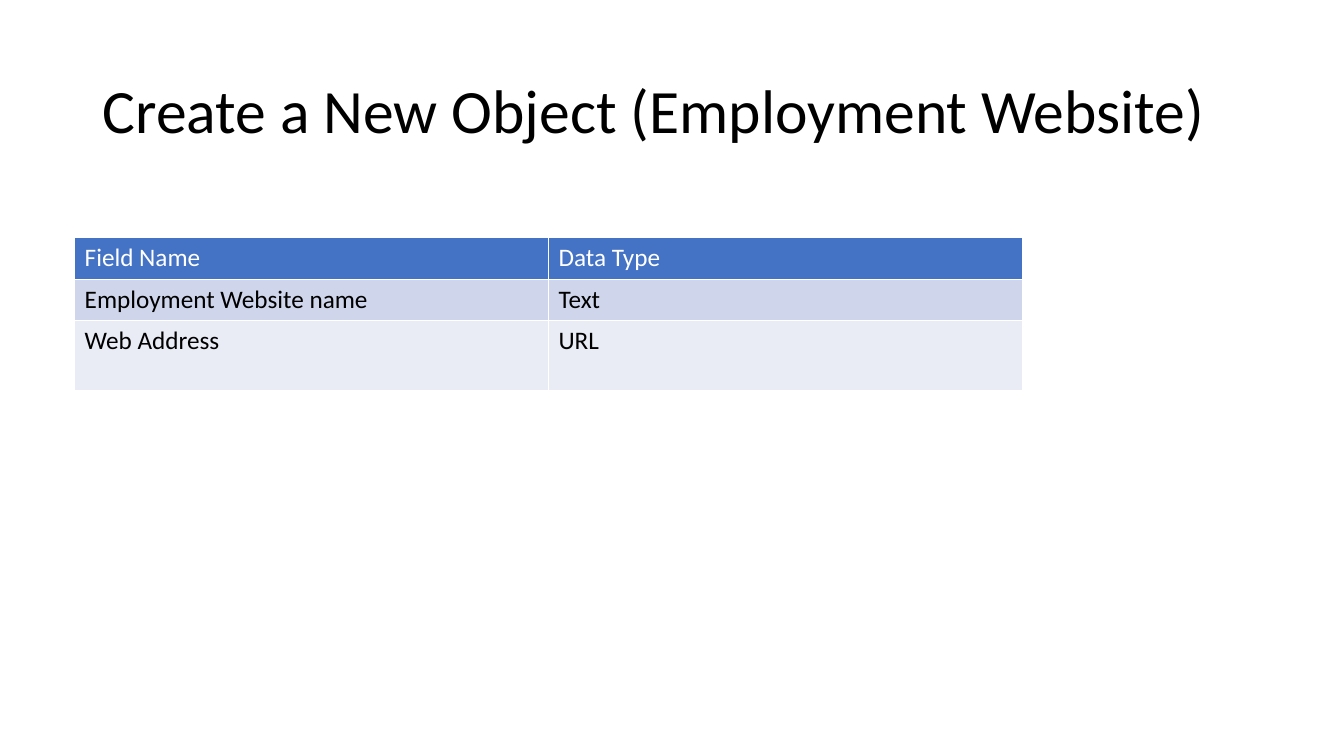
import pptx
import pptx.dml.color
import pptx.enum.text
import pptx.util
from pptx.util import Inches

RGBColor = pptx.dml.color.RGBColor
BLACK = RGBColor(0x00, 0x00, 0x00)
WHITE = RGBColor(0xFF, 0xFF, 0xFF)
HEADER_BLUE = RGBColor(0x44, 0x72, 0xC4)
BAND_DARK = RGBColor(0xCF, 0xD5, 0xEA)
BAND_LIGHT = RGBColor(0xE9, 0xEB, 0xF5)


class SlideBuilder:
    """Holds the text style and the current slide, and adds elements to it."""

    font_name = "Calibri"
    title_size = 44
    table_size = 18

    def __init__(self, slide):
        self.slide = slide

    def add_run(self, paragraph, text, size, color):
        run = paragraph.add_run()
        run.text = text
        run.font.name = self.font_name
        run.font.size = pptx.util.Pt(size)
        run.font.bold = False
        run.font.color.rgb = color

    def add_title(self, text, left, top, width, height):
        shape = self.slide.shapes.add_textbox(
            Inches(left), Inches(top), Inches(width), Inches(height))
        frame = shape.text_frame
        frame.word_wrap = True
        frame.vertical_anchor = pptx.enum.text.MSO_ANCHOR.MIDDLE
        paragraph = frame.paragraphs[0]
        paragraph.line_spacing = 0.9
        self.add_run(paragraph, text, self.title_size, BLACK)

    def add_table(self, rows, left, top, width, heights):
        table = self.slide.shapes.add_table(
            len(rows), len(rows[0]), Inches(left), Inches(top),
            Inches(width), Inches(sum(heights))).table
        for row_index, texts in enumerate(rows):
            table.rows[row_index].height = Inches(heights[row_index])
            if row_index == 0:
                fill_color, text_color = HEADER_BLUE, WHITE
            else:
                fill_color = BAND_DARK if row_index % 2 else BAND_LIGHT
                text_color = BLACK
            for column_index, text in enumerate(texts):
                cell = table.cell(row_index, column_index)
                cell.fill.solid()
                cell.fill.fore_color.rgb = fill_color
                paragraph = cell.text_frame.paragraphs[0]
                self.add_run(paragraph, text, self.table_size, text_color)


def main():
    presentation = pptx.Presentation()
    presentation.slide_width = Inches(13.33)
    presentation.slide_height = Inches(7.5)
    slide = presentation.slides.add_slide(presentation.slide_layouts[6])
    builder = SlideBuilder(slide)
    builder.add_title("Create a New Object (Employment Website)",
                      0.92, 0.4, 11.5, 1.45)
    fields = [
        ("Field Name", "Data Type"),
        ("Employment Website name", "Text"),
        ("Web Address", "URL"),
    ]
    builder.add_table(fields, 0.74, 2.36, 9.4, [0.41, 0.41, 0.7])
    presentation.save("out.pptx")


if __name__ == "__main__":
    main()
